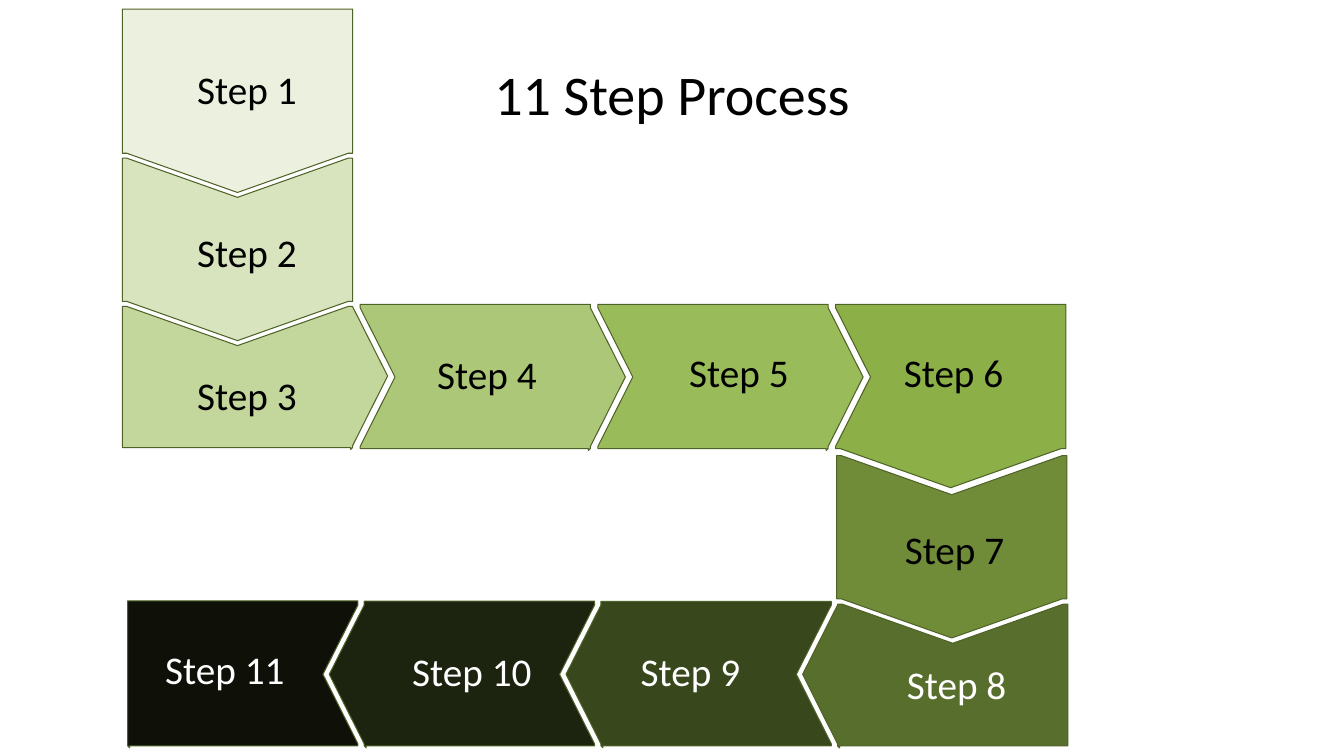
from pptx import Presentation
from pptx.dml.color import RGBColor
from pptx.enum.text import MSO_ANCHOR, MSO_AUTO_SIZE, PP_ALIGN
from pptx.util import Pt

CENTER = PP_ALIGN.CENTER
MIDDLE = MSO_ANCHOR.MIDDLE
FIT_TEXT = MSO_AUTO_SIZE.SHAPE_TO_FIT_TEXT
TITLE_ONLY = 5

STEP_WIDTH = 164.5
SIDE = 25
DROP = 28
LIP = 3.2
NIB = 1.4
APEX_RISE = 51.1
SIDE_RISE = 100.6
LABEL_HEIGHT = 41

COLUMN = 87.4
PITCH = 169.8
TURN = COLUMN + 3 * PITCH
ROW = 217.4

STEPS = [
    ("EBF1DE", COLUMN, 6.5, 103, {"bottom": DROP}, (133.2, 43.2)),
    ("D7E4BD", COLUMN, 113, 102.3, {"top": DROP, "bottom": DROP}, (133.2, 159.8)),
    ("C3D69B", COLUMN, 218.9, 100.8, {"top": DROP, "right": SIDE, "nib": "right"}, (133.2, 261.4)),
    ("ACC777", COLUMN + PITCH, ROW, 103, {"left": SIDE, "right": SIDE, "nib": "right"}, (304.6, 247)),
    ("9ABB59", COLUMN + 2 * PITCH, ROW, 103, {"left": SIDE, "right": SIDE, "nib": "right"}, (484.6, 245.5)),
    ("8CAF47", TURN, ROW, 103, {"left": SIDE, "bottom": DROP}, (637.9, 245.5)),
    ("708C38", 597.6, 325.4, 102.3, {"top": DROP, "bottom": DROP}, (638.6, 371.5)),
    ("586E2C", 598.3, 431.5, 101.3, {"top": DROP, "left": -SIDE, "nib": "left"}, (640.1, 468)),
    ("39471D", 429.3, 429.6, 103.2, {"left": -SIDE, "right": -SIDE, "nib": "left"}, (450, 458.6)),
    ("1C230F", 260.2, 429.4, 103.4, {"left": -SIDE, "right": -SIDE, "nib": "left"}, (286.6, 458.6)),
    ("0F1109", 91.2, 429.2, 103.6, {"right": -SIDE, "nib": "left"}, (110.2, 457.2)),
]


def color(value):
    return RGBColor.from_string(value)


def side_edge(x, height, bow):
    return [(x, height - SIDE_RISE), (x + bow, height - APEX_RISE), (x, height - NIB)]


def flat_edge(y, bow):
    return [(LIP, y), (STEP_WIDTH / 2, y + bow), (STEP_WIDTH - LIP, y)]


def step_outline(height, top=0, right=0, bottom=0, left=0, nib=None):
    points = [(0, 0)]
    if top:
        points += flat_edge(0, top)
    points.append((STEP_WIDTH, 0))
    if right:
        points += side_edge(STEP_WIDTH, height, right)
    points.append((STEP_WIDTH, height))
    if nib == "right":
        points += [(STEP_WIDTH - NIB, height + NIB), (STEP_WIDTH - NIB, height)]
    if bottom:
        points += reversed(flat_edge(height, bottom))
    if nib == "left":
        points += [(NIB, height), (NIB, height + NIB)]
    points.append((0, height))
    if left:
        points += reversed(side_edge(0, height, left))
    return points


class ProcessSlide:
    font = "Calibri"
    line = "4F6228"
    dark = "000000"
    light = "FFFFFF"
    title_size = 40
    label_size = 28

    def __init__(self, presentation):
        self.slide = presentation.slides.add_slide(presentation.slide_layouts[TITLE_ONLY])

    def set_text(self, frame, text, size, text_color):
        frame.text = text
        paragraph = frame.paragraphs[0]
        paragraph.alignment = CENTER
        paragraph.font.name = self.font
        paragraph.font.size = Pt(size)
        paragraph.font.color.rgb = color(text_color)

    def title(self, text, left, top, width, height):
        shape = self.slide.shapes.title
        shape.left, shape.top, shape.width, shape.height = map(Pt, (left, top, width, height))
        shape.text_frame.vertical_anchor = MIDDLE
        self.set_text(shape.text_frame, text, self.title_size, self.dark)

    def outline(self, shapes, points, left, top, fill):
        corners = [(Pt(left + x), Pt(top + y)) for x, y in points]
        builder = shapes.build_freeform(*corners[0], scale=1)
        builder.add_line_segments(corners[1:], close=True)
        shape = builder.convert_to_shape()
        shape.shadow.inherit = False
        shape.fill.solid()
        shape.fill.fore_color.rgb = color(fill)
        shape.line.color.rgb = color(self.line)
        shape.line.width = Pt(0)

    def label(self, shapes, text, left, top, width, text_color):
        shape = shapes.add_textbox(Pt(left), Pt(top), Pt(width), Pt(LABEL_HEIGHT))
        shape.text_frame.word_wrap = False
        shape.text_frame.auto_size = FIT_TEXT
        self.set_text(shape.text_frame, text, self.label_size, text_color)

    def step(self, number, fill, left, top, height, edges, label_at):
        shapes = self.slide.shapes.add_group_shape().shapes
        self.outline(shapes, step_outline(height, **edges), left, top, fill)
        width = 86.4 if number < 10 else 100.8
        text_color = self.dark if number < 8 else self.light
        self.label(shapes, f"Step {number}", *label_at, width, text_color)


def main():
    presentation = Presentation()
    presentation.slide_width = Pt(960)
    presentation.slide_height = Pt(540)
    slide = ProcessSlide(presentation)
    slide.title("11 Step Process", 48, 21.6, 864, 90)
    for number, step in enumerate(STEPS, 1):
        slide.step(number, *step)
    presentation.save("out.pptx")


if __name__ == "__main__":
    main()
